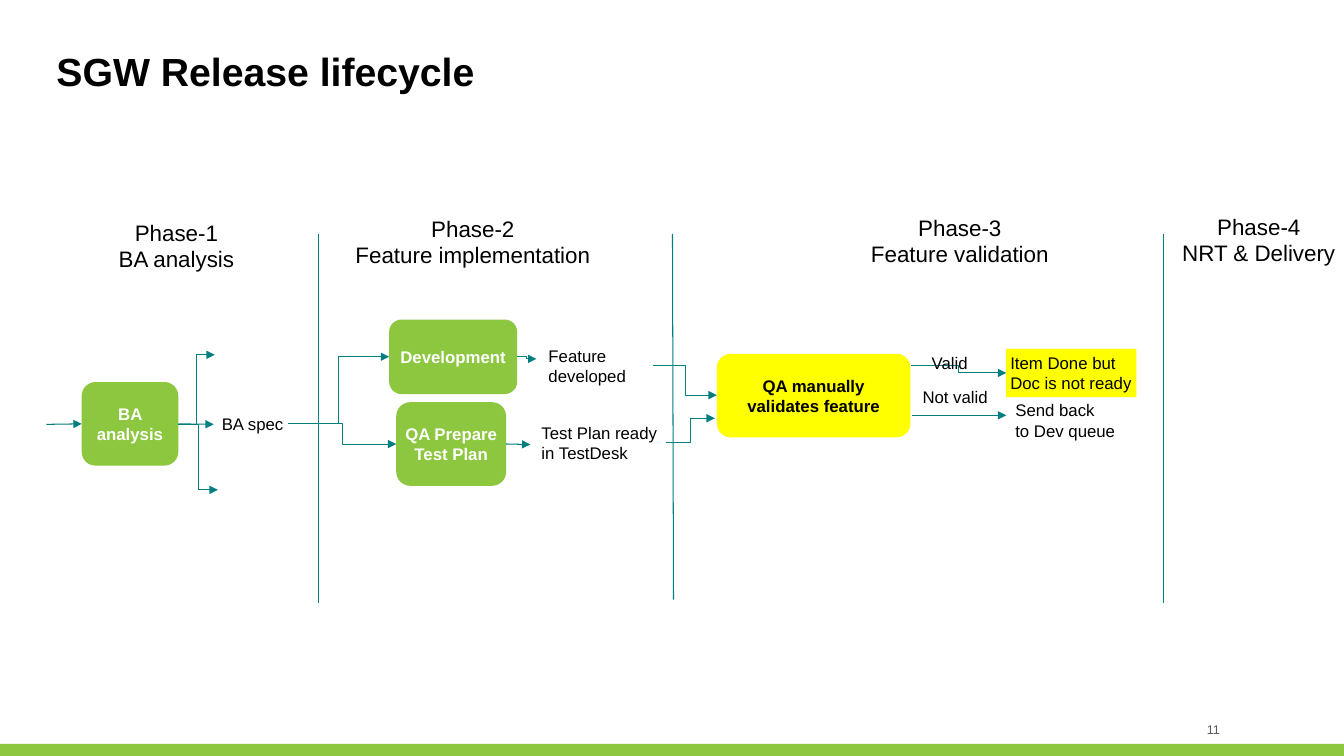
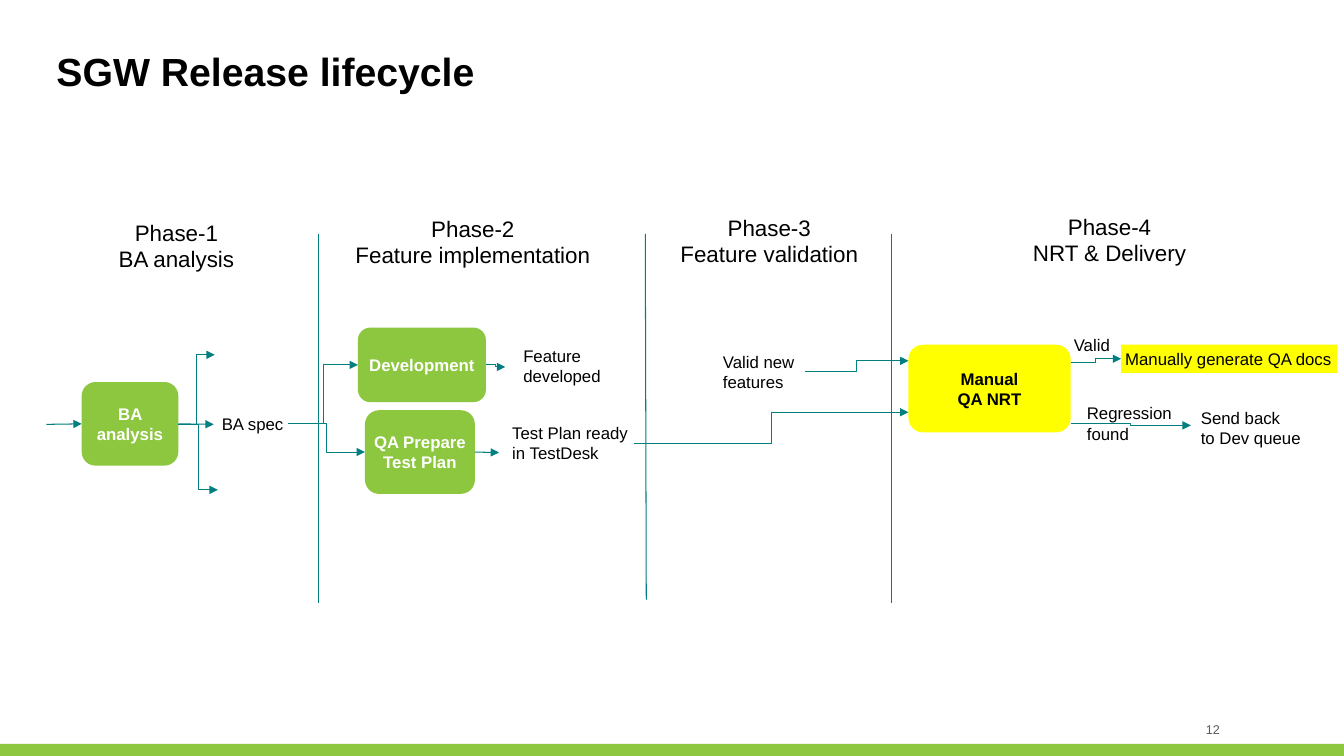
from lxml.etree import SubElement
from pptx import Presentation
from pptx.dml.color import RGBColor
from pptx.enum.shapes import MSO_CONNECTOR, MSO_SHAPE
from pptx.enum.text import MSO_ANCHOR, MSO_AUTO_SIZE, PP_ALIGN
from pptx.oxml.ns import qn
from pptx.util import Inches, Pt

GREEN = RGBColor(0x8D, 0xC6, 0x3F)
YELLOW = RGBColor(0xFF, 0xFF, 0x00)
TEAL = RGBColor(0x00, 0x7E, 0x80)
BLACK = RGBColor(0x00, 0x00, 0x00)
WHITE = RGBColor(0xFF, 0xFF, 0xFF)
GREY = RGBColor(0x59, 0x59, 0x59)
FONT = "Arial"
TITLE = "SGW Release lifecycle"
SLIDE_WIDTH = 13.33
SLIDE_HEIGHT = 7.5
TOP, LEFT, BOTTOM, RIGHT = range(4)


def apply_format(target, values):
    for name, value in values.items():
        setattr(target, name, value)


def write_text(shape, lines, size, color=BLACK, bold=False, align=PP_ALIGN.LEFT,
               anchor=MSO_ANCHOR.TOP, margin=0.04, wrap=True, grow=False, spacing=None):
    frame = shape.text_frame
    frame.text = "\n".join(lines)
    apply_format(frame, {
        "margin_left": Inches(margin), "margin_right": Inches(margin),
        "margin_top": Inches(margin), "margin_bottom": Inches(margin),
        "vertical_anchor": anchor, "word_wrap": wrap,
        "auto_size": MSO_AUTO_SIZE.SHAPE_TO_FIT_TEXT if grow else MSO_AUTO_SIZE.NONE,
    })
    for paragraph in frame.paragraphs:
        apply_format(paragraph, {"alignment": align, "line_spacing": spacing})
        for run in paragraph.runs:
            apply_format(run.font, {"name": FONT, "size": Pt(size), "bold": bold})
            run.font.color.rgb = color


def add_filled(slide, preset, left, top, width, height, fill):
    shape = slide.shapes.add_shape(
        preset, Inches(left), Inches(top), Inches(width), Inches(height))
    shape.shadow.inherit = False
    shape.fill.solid()
    shape.fill.fore_color.rgb = fill
    shape.line.fill.background()
    return shape


def add_step(slide, lines, left, top, width, height, fill=GREEN, color=WHITE):
    step = add_filled(slide, MSO_SHAPE.ROUNDED_RECTANGLE, left, top, width, height, fill)
    write_text(step, lines, 12, color, bold=True,
               align=PP_ALIGN.CENTER, anchor=MSO_ANCHOR.MIDDLE)
    return step


def add_label(slide, lines, left, top, width, size=12, align=PP_ALIGN.LEFT, wrap=False):
    height = 0.08 + len(lines) * size / 60
    label = slide.shapes.add_textbox(
        Inches(left), Inches(top), Inches(width), Inches(height))
    write_text(label, lines, size, align=align, wrap=wrap, grow=True)


def add_highlight(slide, lines, left, top, width):
    height = 0.08 + len(lines) * 0.2
    highlight = add_filled(slide, MSO_SHAPE.RECTANGLE, left, top, width, height, YELLOW)
    write_text(highlight, lines, 12, wrap=False, grow=True)


def add_line(slide, start, end, kind=MSO_CONNECTOR.STRAIGHT, arrow=True):
    line = slide.shapes.add_connector(
        kind, *(Inches(value) for value in (*start, *end)))
    line.line.color.rgb = TEAL
    line.line.width = Pt(0.75)
    properties = line.element.spPr
    if arrow:
        SubElement(properties.find(qn("a:ln")), qn("a:tailEnd"), type="triangle")
    SubElement(properties, qn("a:effectLst"))
    return line


def add_elbow(slide, start, end):
    return add_line(slide, start, end, MSO_CONNECTOR.ELBOW)


def add_frame(presentation, number):
    slide = presentation.slides.add_slide(presentation.slide_layouts[5])
    title = slide.shapes.title
    apply_format(title, {"left": Inches(0.56), "top": Inches(0.56),
                         "width": Inches(12.19), "height": Inches(1.14)})
    write_text(title, [TITLE], 28, bold=True, margin=0, spacing=0.8)
    add_filled(slide, MSO_SHAPE.RECTANGLE, 0, 7.38, SLIDE_WIDTH, 0.12, GREEN)
    page = slide.shapes.add_textbox(
        Inches(11.42), Inches(7.14), Inches(0.68), Inches(0.2))
    write_text(page, [str(number)], 9, GREY, align=PP_ALIGN.RIGHT,
               anchor=MSO_ANCHOR.MIDDLE, margin=0)
    return slide


def add_phases(slide, top, dividers, validation_left, delivery_left):
    first, second, third = dividers
    for upper, lower, length in ((first, first, 3.66), (second, second + 0.01, 3.63),
                                 (third, third, 3.66)):
        add_line(slide, (upper, top), (lower, top + length), arrow=False)
    headings = (("BA analysis", 1.13, -0.19, 1.24),
                ("Feature implementation", 3.47, -0.23, 2.44),
                ("Feature validation", validation_left, -0.24, 1.86),
                ("NRT & Delivery", delivery_left, -0.25, 1.61))
    for number, (name, left, offset, width) in enumerate(headings, 1):
        add_label(slide, [f"Phase-{number}", name], left, top + offset, width,
                  16, PP_ALIGN.CENTER)


def add_analysis(slide, left, top):
    step = add_step(slide, ["BA analysis"], left, top, 0.96, 0.83)
    right, middle = left + 0.96, top + 0.42
    entry = add_line(slide, (left - 0.35, middle), (left, middle))
    entry.end_connect(step, LEFT)
    for reach, rise in ((0.36, -0.69), (0.39, 0.65)):
        add_elbow(slide, (right, middle), (right + reach, middle + rise))
    result = add_line(slide, (right, middle), (right + 0.35, middle))
    result.begin_connect(step, RIGHT)
    add_label(slide, ["BA spec"], left + 1.35, top + 0.27, 0.7)
    return left + 2.05, top + 0.41


def add_implementation(slide, left, top, specification, feature_left, plan_left):
    development = add_step(slide, ["Development"], left, top, 1.27, 0.74)
    plan = add_step(slide, ["QA Prepare Test Plan"], left + 0.07, top + 0.82, 1.09, 0.83)
    development_middle, plan_middle = top + 0.37, top + 1.24
    for step, end in ((development, (left, development_middle)),
                      (plan, (left + 0.07, plan_middle))):
        add_elbow(slide, specification, end).end_connect(step, LEFT)
    add_elbow(slide, (left + 1.27, development_middle),
              (left + 1.46, development_middle + 0.02))
    result = add_line(slide, (left + 1.16, plan_middle), (left + 1.4, plan_middle))
    result.begin_connect(plan, RIGHT)
    add_label(slide, ["Feature", "developed"], feature_left, 3.39, 1.07, wrap=True)
    add_label(slide, ["Test Plan ready", "in TestDesk"], plan_left, 4.15, 1.28)


def add_validation(slide, left, top):
    add_step(slide, ["QA manually validates feature"], left, top, 1.92, 0.83, YELLOW, BLACK)
    add_elbow(slide, (left - 0.5, top + 0.88), (left - 0.02, top + 0.64))
    add_elbow(slide, (left - 0.63, top + 0.12), (left, top + 0.41))
    add_highlight(slide, ["Item Done but", "Doc is not ready"], left + 2.87, top - 0.05, 1.29)
    add_elbow(slide, (left + 1.93, top + 0.12), (left + 2.87, top + 0.19))
    add_label(slide, ["Valid"], left + 2.09, top - 0.05, 0.44)
    add_line(slide, (left + 1.94, top + 0.61), (left + 2.87, top + 0.61))
    add_label(slide, ["Not valid"], left + 2, top + 0.29, 0.73)
    add_label(slide, ["Send back", "to Dev queue"], left + 2.92, top + 0.42, 1.08)


def add_delivery(slide, left, top):
    add_step(slide, ["Manual", "QA NRT"], left, top, 1.61, 0.87, YELLOW, BLACK)
    add_label(slide, ["Valid new", "features"], left - 1.88, top + 0.03, 0.84)
    add_elbow(slide, (left - 1.03, top + 0.27), (left, top + 0.16))
    add_elbow(slide, (left - 2.72, top + 0.98), (left, top + 0.67))
    add_elbow(slide, (left + 1.61, top + 0.18), (left + 2.11, top + 0.14))
    add_label(slide, ["Valid"], left + 1.6, top - 0.14, 0.44)
    add_highlight(slide, ["Manually generate QA docs"], left + 2.11, top, 2.14)
    add_label(slide, ["Regression", "found"], left + 1.73, top + 0.54, 0.97)
    add_elbow(slide, (left + 1.61, top + 0.78), (left + 2.8, top + 0.8))
    add_label(slide, ["Send back", "to Dev queue"], left + 2.86, top + 0.58, 1.08)


def build_validation_slide(presentation):
    slide = add_frame(presentation, 11)
    add_phases(slide, 2.32, (3.16, 6.67, 11.54), 8.59, 11.68)
    specification = add_analysis(slide, 0.81, 3.79)
    add_implementation(slide, 3.86, 3.17, specification, 5.4, 5.33)
    add_validation(slide, 7.11, 3.51)


def build_delivery_slide(presentation):
    slide = add_frame(presentation, 12)
    add_phases(slide, 2.32, (3.16, 6.4, 8.84), 6.7, 10.2)
    specification = add_analysis(slide, 0.81, 3.79)
    add_implementation(slide, 3.55, 3.25, specification, 5.15, 5.04)
    add_delivery(slide, 9.01, 3.42)


def main():
    presentation = Presentation()
    presentation.slide_width = Inches(SLIDE_WIDTH)
    presentation.slide_height = Inches(SLIDE_HEIGHT)
    build_validation_slide(presentation)
    build_delivery_slide(presentation)
    presentation.save("out.pptx")


if __name__ == "__main__":
    main()
